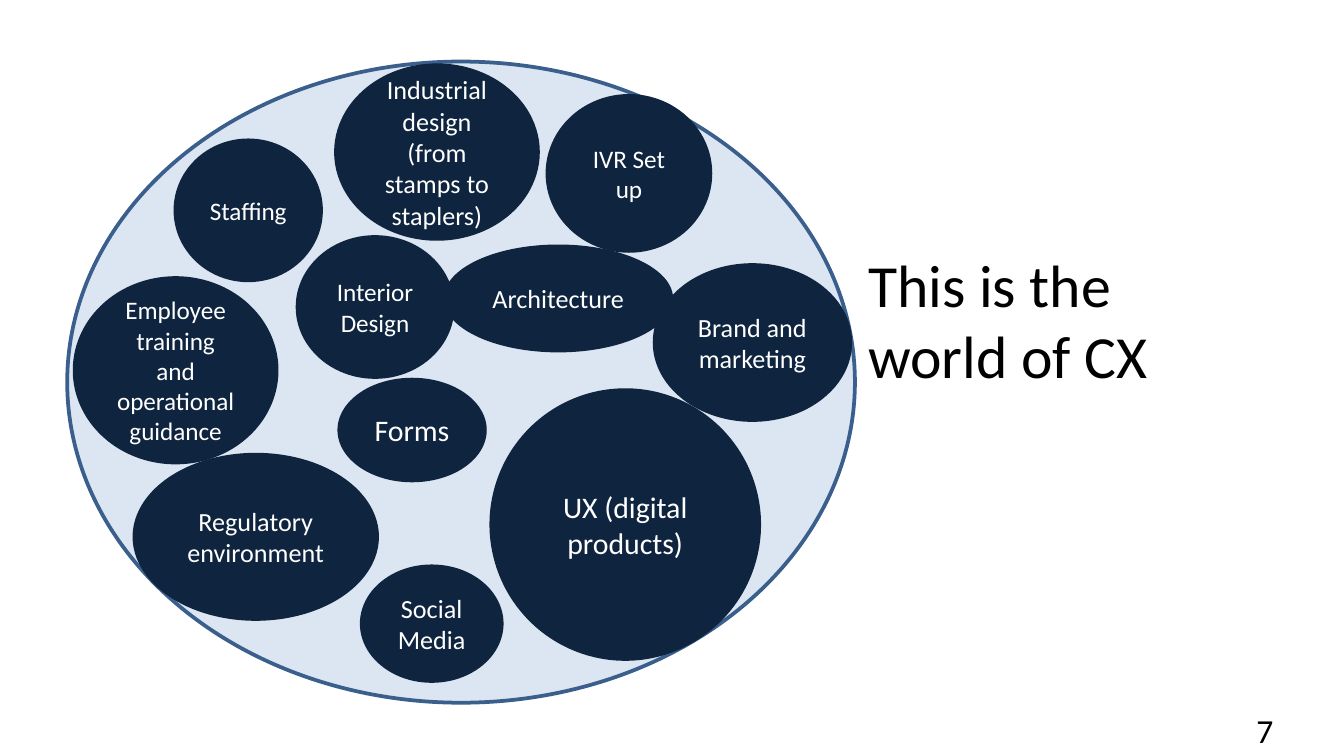
from pptx import Presentation
from pptx.dml.color import RGBColor
from pptx.enum.shapes import MSO_SHAPE
from pptx.enum.text import MSO_ANCHOR, PP_ALIGN
from pptx.util import Pt

NAVY, PALE, EDGE = "0F243E", "DCE6F2", "3A5F8C"
WHITE, BLACK = "FFFFFF", "000000"


def write(shape, text, size, color, align=PP_ALIGN.LEFT):
    """Fill a shape with wrapped text, one paragraph per line of the string."""
    frame = shape.text_frame
    frame.word_wrap = True
    frame.text = text
    for paragraph in frame.paragraphs:
        paragraph.alignment = align
        font = paragraph.runs[0].font
        font.name, font.size = "Calibri", Pt(size)
        font.color.rgb = RGBColor.from_string(color)


def add_oval(left, top, width, height, fill):
    """Add a filled ellipse without shadow or outline."""
    oval = slide.shapes.add_shape(
        MSO_SHAPE.OVAL, Pt(left), Pt(top), Pt(width), Pt(height))
    oval.shadow.inherit = False
    oval.fill.solid()
    oval.fill.fore_color.rgb = RGBColor.from_string(fill)
    oval.line.fill.background()
    return oval


prs = Presentation()
prs.slide_width, prs.slide_height = Pt(720), Pt(405)
slide = prs.slides.add_slide(prs.slide_layouts[6])

title = slide.shapes.add_textbox(Pt(458), Pt(129), Pt(225.4), Pt(85))
write(title, "This is the world of CX", 32, BLACK)

world = add_oval(36, 33, 422, 343.5, PALE)
world.line.color.rgb = RGBColor.from_string(EDGE)
world.line.width = Pt(2)

# Text, size, left, top, width, height
topics = [
    ("Staffing", 13.5, 93, 74.2, 80, 77),
    ("Industrial design (from stamps to staplers)", 14, 179, 34, 110.2, 95),
    ("IVR Set up", 13.5, 292.3, 50.4, 89.3, 85),
    ("Employee training and operational guidance", 13.5,
     39, 148, 110.2, 100.8),
    ("Interior Design", 13.5, 158.4, 126, 85, 77),
    ("Architecture", 14, 237.6, 131, 123, 57.8),
    ("Brand and marketing", 14, 349.7, 141, 106.8, 85),
    ("Forms", 16, 180.8, 202.4, 80, 56),
    ("Regulatory environment", 14, 71, 242.6, 132, 90),
    ("Social\nMedia", 14, 192.8, 302.4, 77, 63.4),
    ("UX (digital products)", 16, 262.2, 208, 145.5, 146),
]
for text, size, left, top, width, height in topics:
    topic = add_oval(left, top, width, height, NAVY)
    topic.text_frame.vertical_anchor = MSO_ANCHOR.MIDDLE
    write(topic, text, size, WHITE, PP_ALIGN.CENTER)

page_number = slide.shapes.add_textbox(Pt(666), Pt(376.6), Pt(18), Pt(29))
write(page_number, "7", 18, BLACK)
page_number.text_frame.word_wrap = False

prs.save("out.pptx")
